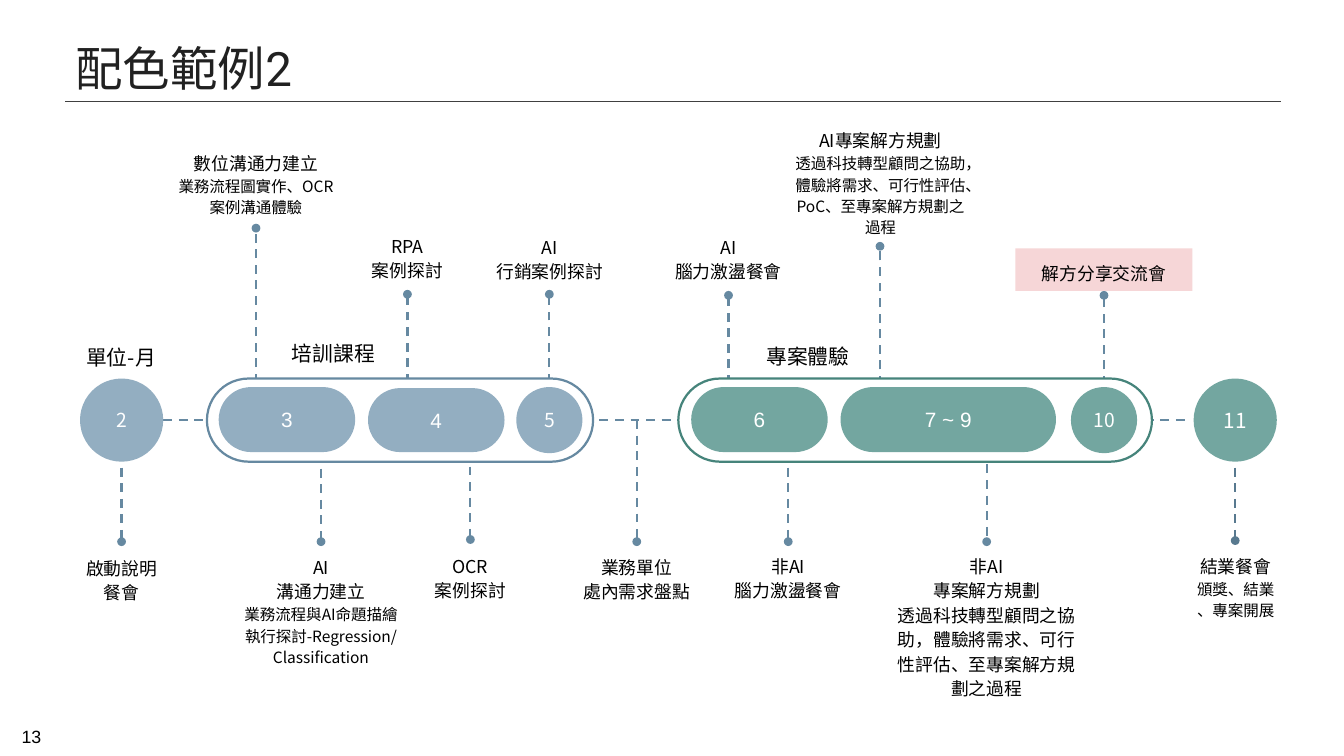
from dataclasses import dataclass

from lxml import etree
from pptx import Presentation
from pptx import util as u
from pptx.dml.color import RGBColor
from pptx.enum import dml, shapes, text
from pptx.oxml.ns import qn

PX = 9144  # EMU in one px, 100 px to the inch
COLORS = {
    "black": "000000", "white": "FFFFFF", "title": "212121", "rule": "404040",
    "blue": "93AEC1", "blue_line": "6689A1", "end_line": "58798F",
    "green": "73A6A0", "green_line": "46847B", "pink": "F6D6D7",
}
NOTO, ARIAL, ROBOTO = "Noto Sans CJK TC", "Arial", "Roboto"
BAR_TOP, BAR_HEIGHT, BAR_MIDDLE = 355, 78, 394


@dataclass(frozen=True)
class Style:
    size: float = 12
    font: str = NOTO
    color: str = "black"
    align: text.PP_ALIGN = text.PP_ALIGN.CENTER
    spacing: float = 1.0


HEAD = Style(spacing=1.15)
DETAIL = Style(10.5, spacing=1.15)
PHASE = Style(14)


@dataclass(frozen=True)
class Phase:
    x: int
    width: int
    line: str


@dataclass(frozen=True)
class Step:
    x: int
    y: int
    width: int
    height: int
    label: str
    fill: str
    size: int = 14


@dataclass(frozen=True)
class Milestone:
    """A label centred on a dashed stem that runs from the bar to a dot."""
    x: int
    bar_y: int
    dot_y: int
    top: int
    height: int
    head: str
    detail: str = ""
    width: int = 166
    detail_style: Style = DETAIL
    fill: str = ""
    line: str = "blue_line"


PHASES = [Phase(194, 362, "blue_line"), Phase(636, 444, "green_line")]

STEPS = [
    Step(75, 355, 78, 78, "2", "blue", 13),
    Step(205, 363, 128, 61, "3", "blue"),
    Step(345, 364, 128, 60, "4", "blue"),
    Step(484, 363, 62, 62, "5", "blue", 13),
    Step(648, 363, 128, 61, "6", "green"),
    Step(788, 363, 202, 61, "7 ~ 9", "green"),
    Step(1004, 363, 62, 62, "10", "green", 13),
    Step(1119, 355, 78, 78, "11", "green"),
]

MILESTONES = [
    Milestone(240, 359, 214, 130, 84, "數位溝通力建立", "業務流程圖實作、OCR案例溝通體驗"),
    Milestone(382, 359, 276, 208, 67, "RPA\n案例探討"),
    Milestone(515, 359, 276, 209, 67, "AI\n行銷案例探討", width=197),
    Milestone(683, 360, 277, 209, 67, "AI\n腦力激盪餐會"),
    Milestone(825, 361, 231, 109, 129, "AI專案解方規劃",
              "透過科技轉型顧問之協助，體驗將需求、可行性評估、PoC、至專案解方規劃之過程", 187),
    Milestone(1035, 361, 277, 233, 40, "解方分享交流會", fill="pink"),
    Milestone(114, 424, 508, 510, 67, "啟動說明\n餐會"),
    Milestone(301, 425, 508, 509, 148, "AI\n溝通力建立",
              "業務流程與AI命題描繪執行探討-Regression/\nClassification"),
    Milestone(441, 423, 506, 508, 67, "OCR\n案例探討"),
    Milestone(597, 394, 508, 509, 67, "業務單位\n處內需求盤點"),
    Milestone(739, 424, 508, 508, 67, "非AI\n腦力激盪餐會"),
    Milestone(925, 421, 508, 508, 183, "非AI\n專案解方規劃",
              "透過科技轉型顧問之協助，體驗將需求、可行性評估、至專案解方規劃之過程", 198, HEAD),
    Milestone(1158, 424, 507, 508, 90, "結業餐會", "頒獎、結業\n、專案開展", 197, line="end_line"),
]


def rgb(name: str) -> RGBColor:
    return RGBColor.from_string(COLORS[name])


def write(sp, lines: list[tuple[str, Style]], anchor=text.MSO_ANCHOR.TOP, inset: int = 10) -> None:
    """Fill a shape with one paragraph per (text, style) pair."""
    tf = sp.text_frame
    tf.word_wrap = True
    tf.vertical_anchor = anchor
    tf.margin_left = tf.margin_right = 10 * PX
    tf.margin_top = tf.margin_bottom = inset * PX
    for i, (words, style) in enumerate(lines):
        p = tf.add_paragraph() if i else tf.paragraphs[0]
        p.text = words
        p.alignment = style.align
        p.line_spacing = style.spacing
        p.font.size = u.Pt(style.size)
        p.font.name = style.font
        p.font.color.rgb = rgb(style.color)
        # East Asian characters take their own typeface
        ea = etree.SubElement(p._p.pPr.find(qn("a:defRPr")), qn("a:ea"))
        ea.set("typeface", NOTO)


def add_text(s, x: int, y: int, w: int, h: int, lines: list[tuple[str, Style]],
             anchor=text.MSO_ANCHOR.TOP, inset: int = 10):
    sp = s.shapes.add_textbox(x * PX, y * PX, w * PX, h * PX)
    write(sp, lines, anchor, inset)
    return sp


def add_line(s, x1: int, y1: int, x2: int, y2: int, color: str,
             width: float = 1.5, dashed: bool = True, dot: bool = False) -> None:
    line = s.shapes.add_connector(shapes.MSO_CONNECTOR.STRAIGHT,
                                  x1 * PX, y1 * PX, x2 * PX, y2 * PX)
    line.line.color.rgb = rgb(color)
    line.line.width = u.Pt(width)
    if dashed:
        line.line.dash_style = dml.MSO_LINE.DASH
    spPr = line._element.spPr
    if dot:
        etree.SubElement(spPr.find(qn("a:ln")), qn("a:tailEnd")).set("type", "oval")
    etree.SubElement(spPr, qn("a:effectLst"))


def add_pill(s, x: int, y: int, w: int, h: int, fill: str, line: str = ""):
    """Add a fully rounded bar, or a circle when both sides are equal."""
    kind = shapes.MSO_SHAPE.OVAL if w == h else shapes.MSO_SHAPE.ROUNDED_RECTANGLE
    sp = s.shapes.add_shape(kind, x * PX, y * PX, w * PX, h * PX)
    if w != h:
        sp.adjustments[0] = 0.5
    sp.shadow.inherit = False
    sp.fill.solid()
    sp.fill.fore_color.rgb = rgb(fill)
    if line:
        sp.line.color.rgb = rgb(line)
        sp.line.width = u.Pt(1.5)
    else:
        sp.line.fill.background()
    return sp


def add_step(s, step: Step) -> None:
    sp = add_pill(s, step.x, step.y, step.width, step.height, step.fill)
    font = NOTO if step.width == step.height else ARIAL
    write(sp, [(step.label, Style(step.size, font, "white"))], text.MSO_ANCHOR.MIDDLE, 5)


def add_milestone(s, m: Milestone) -> None:
    add_line(s, m.x, m.bar_y, m.x, m.dot_y, m.line, dot=True)
    lines = [(m.head, HEAD)]
    if m.detail:
        lines.append((m.detail, m.detail_style))
    sp = add_text(s, m.x - m.width // 2, m.top, m.width, m.height, lines)
    if m.fill:
        sp.fill.solid()
        sp.fill.fore_color.rgb = rgb(m.fill)


def main() -> None:
    prs = Presentation()
    prs.slide_width, prs.slide_height = 1260 * PX, 709 * PX
    s = prs.slides.add_slide(prs.slide_layouts[6])
    left = text.PP_ALIGN.LEFT

    add_text(s, 61, 31, 1140, 64, [("配色範例2", Style(32, ROBOTO, "title", left))],
             text.MSO_ANCHOR.MIDDLE, 5)
    add_line(s, 61, 95, 1201, 95, "rule", 0.75, dashed=False)
    add_text(s, 2, 682, 55, 24, [("13", Style(12, ARIAL))], text.MSO_ANCHOR.BOTTOM, 5)

    add_line(s, 153, BAR_MIDDLE, 1117, BAR_MIDDLE, "blue_line")
    for milestone in MILESTONES:
        add_milestone(s, milestone)
    add_text(s, 71, 313, 98, 44, [("單位-月", Style(14, align=left))])
    add_text(s, 200, 310, 225, 44, [("培訓課程", PHASE)])
    add_text(s, 645, 312, 225, 44, [("專案體驗", PHASE)])
    for phase in PHASES:
        add_pill(s, phase.x, BAR_TOP, phase.width, BAR_HEIGHT, "white", phase.line)
    for step in STEPS:
        add_step(s, step)

    prs.save("out.pptx")


if __name__ == "__main__":
    main()
